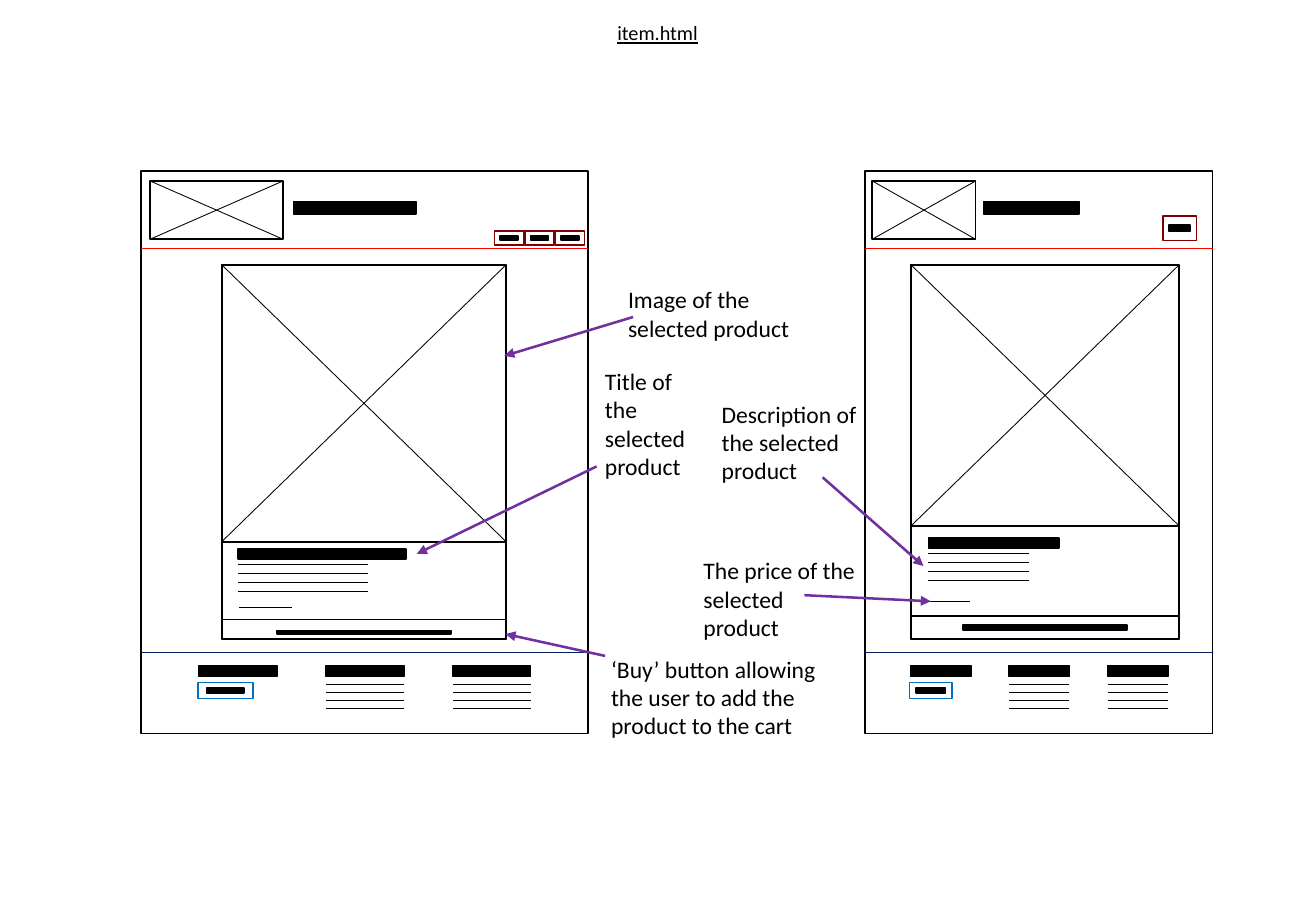
from dataclasses import dataclass
from lxml import etree
from pptx import Presentation
from pptx.dml.color import RGBColor
from pptx.enum.shapes import MSO_CONNECTOR, MSO_SHAPE
from pptx.enum.text import MSO_ANCHOR, MSO_AUTO_SIZE, PP_ALIGN
from pptx.oxml.ns import qn
from pptx.util import Inches, Pt

RECTANGLE, STRAIGHT = MSO_SHAPE.RECTANGLE, MSO_CONNECTOR.STRAIGHT
TOP, LEFT, GROW = MSO_ANCHOR.TOP, PP_ALIGN.LEFT, MSO_AUTO_SIZE.SHAPE_TO_FIT_TEXT
BLACK, RED, MAROON = "000000", "FF0000", "800000"
BLUE, NAVY, PURPLE = "0070C0", "002060", "7030A0"
ROW = 0.1  # inches per grid row, also the column of the slide grid
PAGE_COLUMNS, PAGE_TOP, PAGE_ROWS = 36.8, 14.1, 46.3
PRODUCT_TOP, PRODUCT_BOTTOM = 21.8, 52.6


@dataclass
class Page:
    """One wireframe; columns are counted from its left edge, rows from the slide top."""
    slide: object
    left: float
    width: float
    menu_columns: tuple
    menu_row: float
    menu_size: tuple
    menu_label: tuple
    product_column: float
    product_columns: float
    image_rows: float
    title_offset: tuple
    price_row: float
    buy_rows: float
    buy_label: tuple
    buy_drop: float = 0

    def x(self, column):
        """Convert a page column to slide columns."""
        return self.left + column * self.width / PAGE_COLUMNS

    def box(self, column, row, columns, rows, color=BLACK, filled=False):
        """Draw an outlined or solid rectangle on the page."""
        x = self.x(column)
        shape = self.slide.shapes.add_shape(
            RECTANGLE, Inches(x * ROW), Inches(row * ROW),
            Inches((self.x(column + columns) - x) * ROW), Inches(rows * ROW))
        shape.shadow.inherit = False
        shape.line.color.rgb = rgb(color)
        shape.line.width = Pt(1)
        if filled:
            shape.fill.solid()
            shape.fill.fore_color.rgb = rgb(color)
        else:
            shape.fill.background()

    def bar(self, column, row, columns, rows):
        """Draw a black bar that stands for a heading or label."""
        self.box(column, row, columns, rows, filled=True)

    def rule(self, column, row, columns, color=BLACK, rise=0):
        """Draw a thin line, level unless a rise in rows is given."""
        add_line(self.slide, (self.x(column), row),
                 (self.x(column + columns), row + rise), color, 0.5)

    def image(self, column, row, columns, rows):
        """Draw a crossed box that stands for an image."""
        self.box(column, row, columns, rows)
        self.rule(column, row, columns, rise=rows)
        self.rule(column, row + rows, columns, rise=-rows)

    def button(self, column, row, size, label, color, drop=0):
        """Draw a button with a centred label bar."""
        columns, rows = size
        label_columns, label_rows = label
        self.box(column, row, columns, rows, color)
        self.bar(column + (columns - label_columns) / 2,
                 row + (rows - label_rows) / 2 + drop, label_columns, label_rows)

    def text_lines(self, column, row, columns, step):
        """Draw four level lines that stand for a paragraph."""
        for index in range(4):
            self.rule(column, row + index * step, columns)

    def header(self):
        """Draw the logo box, site title, menu and dividing rule."""
        self.rule(0, 20.45, PAGE_COLUMNS, RED)
        self.image(0.75, 14.9, 10.95, 4.8)
        self.bar(12.55, 16.6, 10.1, 1)
        for column in self.menu_columns:
            self.button(column, self.menu_row, self.menu_size, self.menu_label, MAROON)

    def product(self):
        """Draw the product card with image, details and buy button."""
        column, columns = self.product_column, self.product_columns
        self.box(column, PRODUCT_TOP, columns, PRODUCT_BOTTOM - PRODUCT_TOP)
        self.image(column, PRODUCT_TOP, columns, self.image_rows)
        indent, gap = self.title_offset
        detail = column + indent
        title_row = PRODUCT_TOP + self.image_rows + gap
        self.bar(detail, title_row, 13.8, 0.8)
        self.text_lines(detail, title_row + 1.3, 10.65, 0.73)
        self.rule(detail + 0.1, self.price_row, 4.3)
        self.button(column, PRODUCT_BOTTOM - self.buy_rows, (columns, self.buy_rows),
                    self.buy_label, BLACK, self.buy_drop)

    def footer(self):
        """Draw three footer headings, one button and two paragraphs."""
        self.rule(0, 53.7, PAGE_COLUMNS, NAVY)
        first, *others = [4.8 + 10.43 * index for index in range(3)]
        self.bar(first, 54.8, 6.4, 0.9)
        self.button(first - 0.1, 56.2, (4.5, 1.3), (3.1, 0.4), BLUE)
        for column in others:
            self.bar(column, 54.8, 6.4, 0.9)
            self.text_lines(column, 56.35, 6.4, 0.65)

    def draw(self):
        """Draw the whole page."""
        self.box(0, PAGE_TOP, PAGE_COLUMNS, PAGE_ROWS)
        self.header()
        self.product()
        self.footer()


def rgb(color):
    """Turn a hex string into a colour."""
    return RGBColor.from_string(color)


def add_line(slide, start, end, color, weight, arrow=False):
    """Draw a line between two slide grid points, with an optional arrowhead."""
    line = slide.shapes.add_connector(
        STRAIGHT, *(Inches(value * ROW) for value in (*start, *end)))
    line.line.color.rgb = rgb(color)
    line.line.width = Pt(weight)
    properties = line._element.spPr
    if arrow:
        etree.SubElement(properties.find(qn("a:ln")), qn("a:tailEnd"), type="triangle")
    etree.SubElement(properties, qn("a:effectLst"))


def write(holder, words, place, size, underline=None, wrap=True):
    """Place a text holder on the slide grid and format its words."""
    holder.left, holder.top, holder.width, holder.height = (
        Inches(value * ROW) for value in place)
    frame = holder.text_frame
    frame.text = words
    frame.word_wrap = wrap
    frame.auto_size = GROW
    frame.vertical_anchor = TOP
    paragraph = frame.paragraphs[0]
    paragraph.alignment = LEFT
    font = paragraph.runs[0].font
    font.name, font.size, font.underline = "Calibri", Pt(size), underline
    font.color.rgb = rgb(BLACK)


def add_callout(slide, words, place, start, end):
    """Add a note and the arrow from it to the part it explains."""
    add_line(slide, start, end, PURPLE, 1.5, arrow=True)
    write(slide.shapes.add_textbox(0, 0, 0, 0), words, place, 14)


def main():
    """Build the slide and save it."""
    deck = Presentation()
    deck.slide_width, deck.slide_height = Inches(10.83), Inches(7.5)
    slide = deck.slides.add_slide(deck.slide_layouts[5])
    write(slide.shapes.title, "item.html", (49.8, 1.2, 8.7, 3), 12, True, wrap=False)

    desktop = Page(slide, left=11.6, width=36.8, menu_columns=(29.1, 31.6, 34.1),
                   menu_row=19, menu_size=(2.4, 1.2), menu_label=(1.5, 0.3),
                   product_column=6.65, product_columns=23.4, image_rows=22.8,
                   title_offset=(1.35, 0.6), price_row=50, buy_rows=1.6,
                   buy_label=(14.3, 0.3), buy_drop=0.25)
    mobile = Page(slide, left=71.2, width=28.6, menu_columns=(31.5,),
                  menu_row=17.8, menu_size=(3.6, 2), menu_label=(2.2, 0.5),
                  product_column=4.85, product_columns=28.4, image_rows=21.5,
                  title_offset=(1.85, 1), price_row=49.5, buy_rows=1.9,
                  buy_label=(17.4, 0.4))
    for page in (desktop, mobile):
        page.draw()

    callouts = [
        ("Image of the selected product", (50.7, 23, 15.7, 5.7), (52.1, 26.1), (41.5, 29.3)),
        ("‘Buy’ button allowing the user to add the product to the cart",
         (49.3, 53.4, 19.5, 8.1), (49.8, 54), (41.6, 52.2)),
        ("The price of the selected product", (56.9, 45.3, 14.8, 8.1), (66.2, 49), (76.6, 49.5)),
        ("Description of the selected product",
         (58.4, 32.4, 14.8, 8.1), (67.7, 39.3), (76, 46.6)),
        ("Title of the selected product", (48.8, 29.7, 10.5, 10.4), (49.1, 38.4), (34.3, 45.6)),
    ]
    for callout in callouts:
        add_callout(slide, *callout)
    deck.save("out.pptx")


main()
